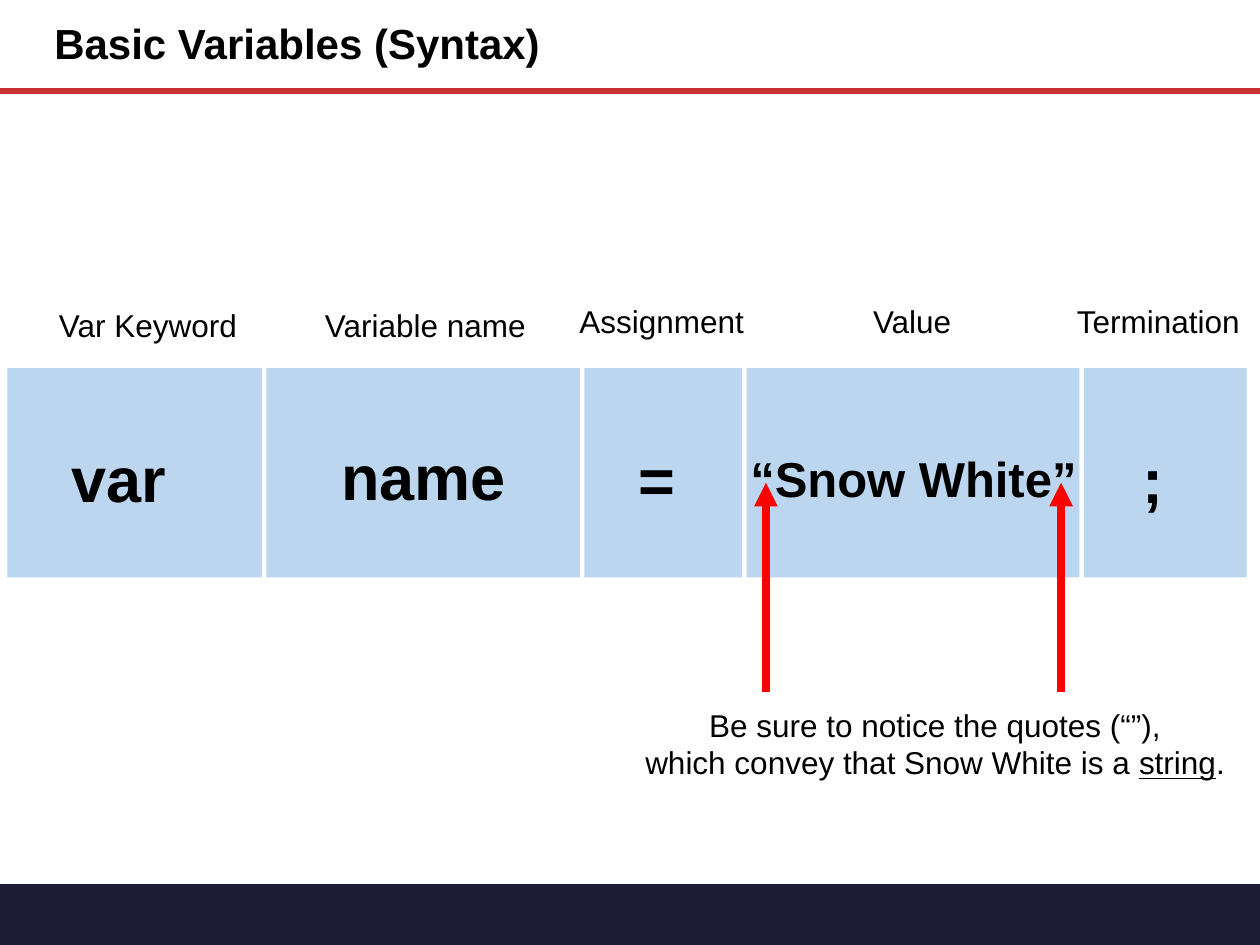
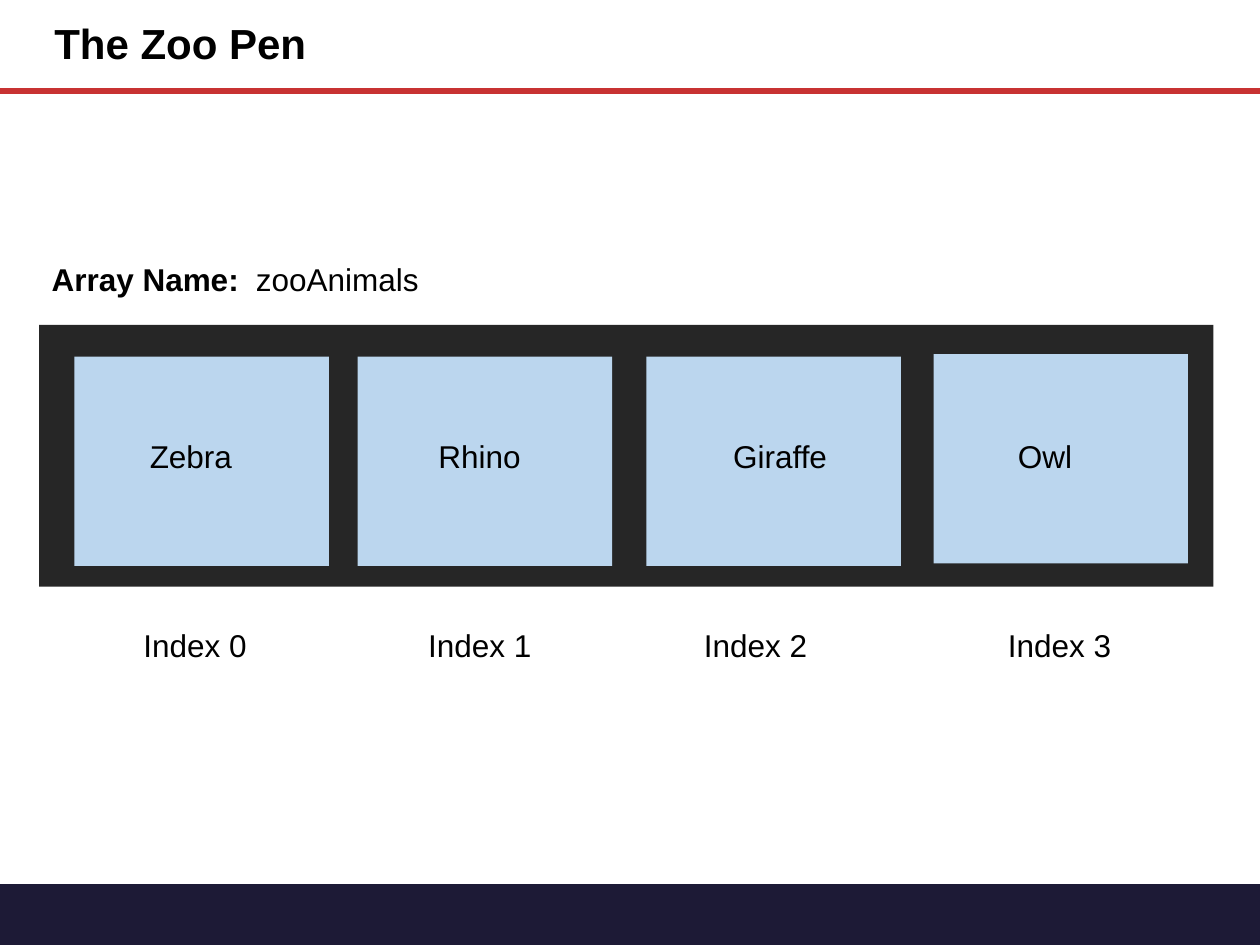
"""Build two lesson slides: the parts of a variable declaration and an indexed array."""
from dataclasses import dataclass
from typing import Sequence

from lxml import etree
from pptx import Presentation
from pptx import util as u
from pptx.dml.color import RGBColor
from pptx.enum import shapes, text
from pptx.oxml import ns

FONT = "Arial"
BLACK = "000000"
CELL_BLUE = "BBD6EE"
PEN_GREY = "262626"
BAND_NAVY = "1D1A36"
RULE_RED = "C83232"
ARROW_RED = "FF0000"

SLIDE_WIDTH, SLIDE_HEIGHT = 25.4, 19.05
TITLE_HEIGHT = 1.83
BAND_TOP = 17.83
CELL_HEIGHT = 4.22
LEFT, CENTER = text.PP_ALIGN.LEFT, text.PP_ALIGN.CENTER


@dataclass(frozen=True)
class Box:
    left: float
    top: float
    width: float
    height: float

    def lengths(self) -> list[u.Length]:
        return [u.Cm(value) for value in (self.left, self.top, self.width, self.height)]


@dataclass(frozen=True)
class Span:
    words: str
    bold: bool = False
    underline: bool = False


@dataclass(frozen=True)
class Label:
    lines: Sequence[Sequence[Span]]
    left: float
    top: float
    width: float
    size: int = 18
    align: text.PP_ALIGN = LEFT
    tab: float | None = None

    def box(self) -> Box:
        line_height = self.size * 1.2 * 2.54 / 72
        return Box(self.left, self.top, self.width, len(self.lines) * line_height + 0.25)


@dataclass(frozen=True)
class SyntaxPart:
    cell_width: float
    caption: Label
    token: Label


@dataclass(frozen=True)
class ArrayItem:
    cell_left: float
    cell_top: float
    name: Label
    index_left: float


def plain(words: str, left: float, top: float, width: float) -> Label:
    return Label([[Span(words)]], left, top, width)


def strong(words: str, left: float, top: float, width: float,
           size: int = 36, align: text.PP_ALIGN = LEFT) -> Label:
    return Label([[Span(words, bold=True)]], left, top, width, size, align)


def colour(hex_value: str) -> RGBColor:
    return RGBColor.from_string(hex_value)


def add_span(paragraph, span: Span, size: int) -> None:
    run = paragraph.add_run()
    run.text = span.words
    run.font.name = FONT
    run.font.size = u.Pt(size)
    run.font.bold = span.bold
    run.font.underline = span.underline
    run.font.color.rgb = colour(BLACK)


def add_tab_stop(paragraph, position: float) -> None:
    properties = paragraph._p.get_or_add_pPr()
    stops = etree.SubElement(properties, ns.qn("a:tabLst"))
    etree.SubElement(stops, ns.qn("a:tab"), pos=str(u.Cm(position)), algn="l")


def add_label(slide, label: Label) -> None:
    shape = slide.shapes.add_textbox(*label.box().lengths())
    frame = shape.text_frame
    frame.word_wrap = True
    for number, line in enumerate(label.lines):
        paragraph = frame.add_paragraph() if number else frame.paragraphs[0]
        paragraph.alignment = label.align
        if label.tab is not None:
            add_tab_stop(paragraph, label.tab)
        for span in line:
            add_span(paragraph, span, label.size)


def add_block(slide, box: Box, fill: str,
              kind: shapes.MSO_SHAPE = shapes.MSO_SHAPE.RECTANGLE) -> None:
    shape = slide.shapes.add_shape(kind, *box.lengths())
    shape.shadow.inherit = False
    shape.fill.solid()
    shape.fill.fore_color.rgb = colour(fill)
    shape.line.fill.background()


def add_line(slide, start: tuple[float, float], end: tuple[float, float],
             hex_value: str, weight: float, arrow: bool = False) -> None:
    ends = [u.Cm(value) for value in (*start, *end)]
    connector = slide.shapes.add_connector(shapes.MSO_CONNECTOR.STRAIGHT, *ends)
    connector.line.color.rgb = colour(hex_value)
    connector.line.width = u.Pt(weight)
    if arrow:
        etree.SubElement(connector.line._get_or_add_ln(), ns.qn("a:tailEnd"), type="triangle")
    etree.SubElement(connector._element.spPr, ns.qn("a:effectLst"))


def add_titled_slide(presentation, heading: str):
    slide = presentation.slides.add_slide(presentation.slide_layouts[5])
    title = slide.shapes.title
    title.left, title.top, title.width, title.height = Box(0.84, 0, 15.19, TITLE_HEIGHT).lengths()
    title.text_frame.vertical_anchor = text.MSO_ANCHOR.MIDDLE
    paragraph = title.text_frame.paragraphs[0]
    paragraph.alignment = LEFT
    paragraph.line_spacing = 0.9
    add_span(paragraph, Span(heading, bold=True), 24)
    add_block(slide, Box(0, BAND_TOP, SLIDE_WIDTH, SLIDE_HEIGHT - BAND_TOP), BAND_NAVY,
              shapes.MSO_SHAPE.FLOWCHART_PROCESS)
    add_line(slide, (0, TITLE_HEIGHT), (SLIDE_WIDTH, TITLE_HEIGHT), RULE_RED, 3.25)
    return slide


def build_syntax_slide(presentation) -> None:
    slide = add_titled_slide(presentation, "Basic Variables (Syntax)")
    parts = [
        SyntaxPart(5.13, plain("Var Keyword", 0.94, 6.05, 4.2), strong("var", 1.19, 8.74, 3.94)),
        SyntaxPart(6.32, plain("Variable name", 6.3, 6.05, 4.7), strong("name", 6.63, 8.69, 5.31)),
        SyntaxPart(3.18, plain("Assignment", 11.43, 5.97, 3.95), strong("=", 12.62, 8.76, 2.36)),
        SyntaxPart(6.71, plain("Value", 17.35, 5.97, 2.2),
                   strong("“Snow White”", 14.63, 8.92, 7.57, 28, CENTER)),
        SyntaxPart(3.28, plain("Termination", 21.46, 5.97, 3.9), strong(";", 22.78, 8.76, 2.36)),
    ]
    cell_left, cell_gap = 0.15, 0.09
    for part in parts:
        add_block(slide, Box(cell_left, 7.42, part.cell_width, CELL_HEIGHT), CELL_BLUE)
        add_label(slide, part.caption)
        cell_left += part.cell_width + cell_gap
    for quote_x in (15.44, 21.39):
        add_line(slide, (quote_x, 13.94), (quote_x, 9.73), ARROW_RED, 4.5, arrow=True)
    for part in parts:
        add_label(slide, part.token)
    add_label(slide, Label([
        [Span("Be sure to notice the quotes (“”),")],
        [Span("which convey that Snow White is a "), Span("string", underline=True), Span(".")],
    ], 12.65, 14.1, 12.4, align=CENTER))


def build_array_slide(presentation) -> None:
    slide = add_titled_slide(presentation, "The Zoo Pen")
    add_block(slide, Box(0.79, 6.55, 23.67, 5.28), PEN_GREY)
    add_label(slide, Label([[Span("Array Name:", bold=True), Span("\tzooAnimals")]],
                           0.79, 5.11, 8, tab=4.12))
    name_top = 8.69
    items = [
        ArrayItem(1.5, 7.19, plain("Zebra", 2.77, name_top, 2.3), 2.64),
        ArrayItem(7.21, 7.19, plain("Rhino", 8.59, name_top, 2.3), 8.38),
        ArrayItem(13.03, 7.19, plain("Giraffe", 14.53, name_top, 2.5), 13.94),
        ArrayItem(18.82, 7.14, plain("Owl", 20.27, name_top, 1.75), 20.07),
    ]
    for index, item in enumerate(items):
        add_block(slide, Box(item.cell_left, item.cell_top, 5.13, CELL_HEIGHT), CELL_BLUE)
        add_label(slide, item.name)
        add_label(slide, plain(f"Index {index}", item.index_left, 12.5, 2.79))


def main() -> None:
    presentation = Presentation()
    presentation.slide_width = u.Cm(SLIDE_WIDTH)
    presentation.slide_height = u.Cm(SLIDE_HEIGHT)
    build_syntax_slide(presentation)
    build_array_slide(presentation)
    presentation.save("out.pptx")


if __name__ == "__main__":
    main()
